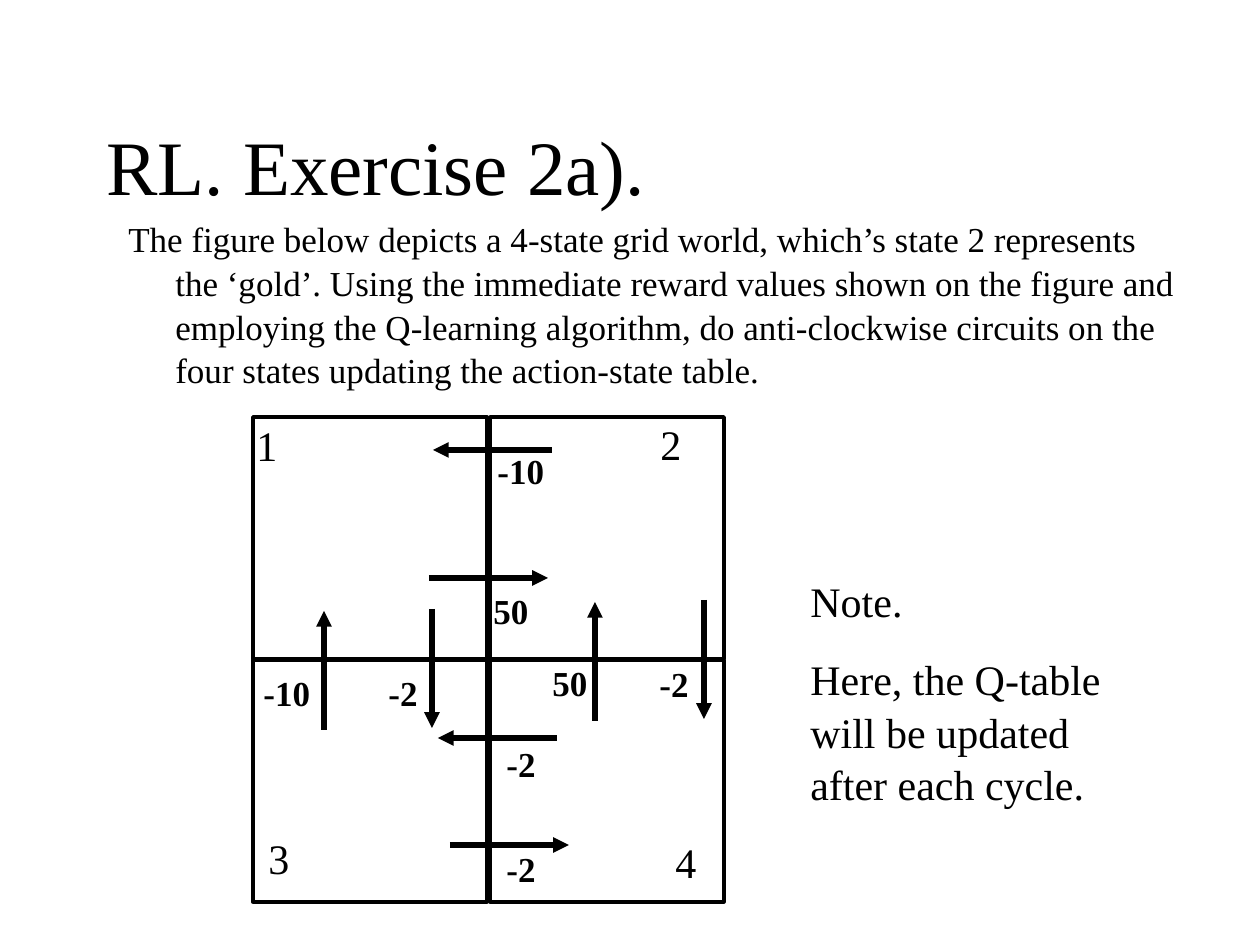
from lxml import etree
from pptx import Presentation
from pptx import util as u
from pptx.dml.color import RGBColor
from pptx.enum import shapes, text
from pptx.oxml.ns import qn

SCALE = 914400 / 126
BLACK = RGBColor(0, 0, 0)
FONT = "Times New Roman"
TITLE = "RL. Exercise 2a)."
TASK = (
    "The figure below depicts a 4-state grid world, which’s state 2 represents "
    "the ‘gold’. Using the immediate reward values shown on the figure and "
    "employing the Q-learning algorithm, do anti-clockwise circuits on the four "
    "states updating the action-state table."
)
NOTE = "Note.\nHere, the Q-table will be updated after each cycle."
GRID_LEFT, GRID_TOP = 253, 417
CELL_W, CELL_H = 234, 242
PITCH_X, PITCH_Y = 237, 243
ARROW_LENGTH = 119
STATES = [("1", 244, 411), ("2", 648, 410), ("3", 256, 824), ("4", 663, 828)]
REWARDS = [
    ("-10", 485, 442), ("50", 481, 582), ("-10", 251, 664), ("-2", 376, 664),
    ("50", 540, 654), ("-2", 647, 655), ("-2", 494, 735), ("-2", 494, 840),
]
ARROWS = [
    (552, 450, -1, 0), (429, 578, 1, 0), (557, 738, -1, 0), (450, 845, 1, 0),
    (324, 730, 0, -1), (432, 609, 0, 1), (595, 721, 0, -1), (704, 600, 0, 1),
]


def px(n):
    """Turn pixels into EMU."""
    return u.Emu(round(n * SCALE))


def add_text(s, content, box, size, bold=False, before=0, hanging=0):
    """Add a wrapped text box and return its text frame."""
    tf = s.shapes.add_textbox(*map(px, box)).text_frame
    tf.word_wrap = True
    tf.text = content
    for p in tf.paragraphs:
        p.space_before = u.Pt(before)
        p.line_spacing = 1.04
        if hanging:
            pPr = p._p.get_or_add_pPr()
            pPr.set("marL", str(px(hanging)))
            pPr.set("indent", str(-px(hanging)))
        for r in p.runs:
            r.font.name = FONT
            r.font.size = u.Pt(size)
            r.font.bold = bold
            r.font.color.rgb = BLACK
    return tf


def add_cell(s, col, row):
    """Outline one state of the grid world."""
    sp = s.shapes.add_shape(
        shapes.MSO_SHAPE.RECTANGLE,
        px(GRID_LEFT + col * PITCH_X), px(GRID_TOP + row * PITCH_Y),
        px(CELL_W), px(CELL_H),
    )
    sp.shadow.inherit = False
    sp.fill.background()
    sp.line.color.rgb = BLACK
    sp.line.width = u.Pt(2)


def add_arrow(s, x, y, dx, dy):
    """Draw one action as an arrow of fixed length."""
    line = s.shapes.add_connector(
        shapes.MSO_CONNECTOR.STRAIGHT, px(x), px(y),
        px(x + dx * ARROW_LENGTH), px(y + dy * ARROW_LENGTH),
    )
    line.line.color.rgb = BLACK
    line.line.width = u.Pt(3)
    spPr = line._element.spPr
    etree.SubElement(spPr.find(qn("a:ln")), qn("a:tailEnd"), type="triangle")
    etree.SubElement(spPr, qn("a:effectLst"))


def main():
    """Build the exercise slide."""
    prs = Presentation()
    prs.slide_width, prs.slide_height = px(1260), px(945)
    s = prs.slides.add_slide(prs.slide_layouts[6])
    title = add_text(s, TITLE, (94, 84, 1071, 158), 44)
    title.vertical_anchor = text.MSO_ANCHOR.MIDDLE
    add_text(s, TASK, (116, 210, 1071, 189), 20, before=5, hanging=47)
    for row in range(2):
        for col in range(2):
            add_cell(s, col, row)
    for state, x, y in STATES:
        add_text(s, state, (x, y, 93, 63), 24, before=15)
    for arrow in ARROWS:
        add_arrow(s, *arrow)
    for reward, x, y in REWARDS:
        add_text(s, reward, (x, y, 82, 55), 20, bold=True)
    add_text(s, NOTE, (798, 567, 368, 241), 24, before=15)
    prs.save("out.pptx")


if __name__ == "__main__":
    main()
